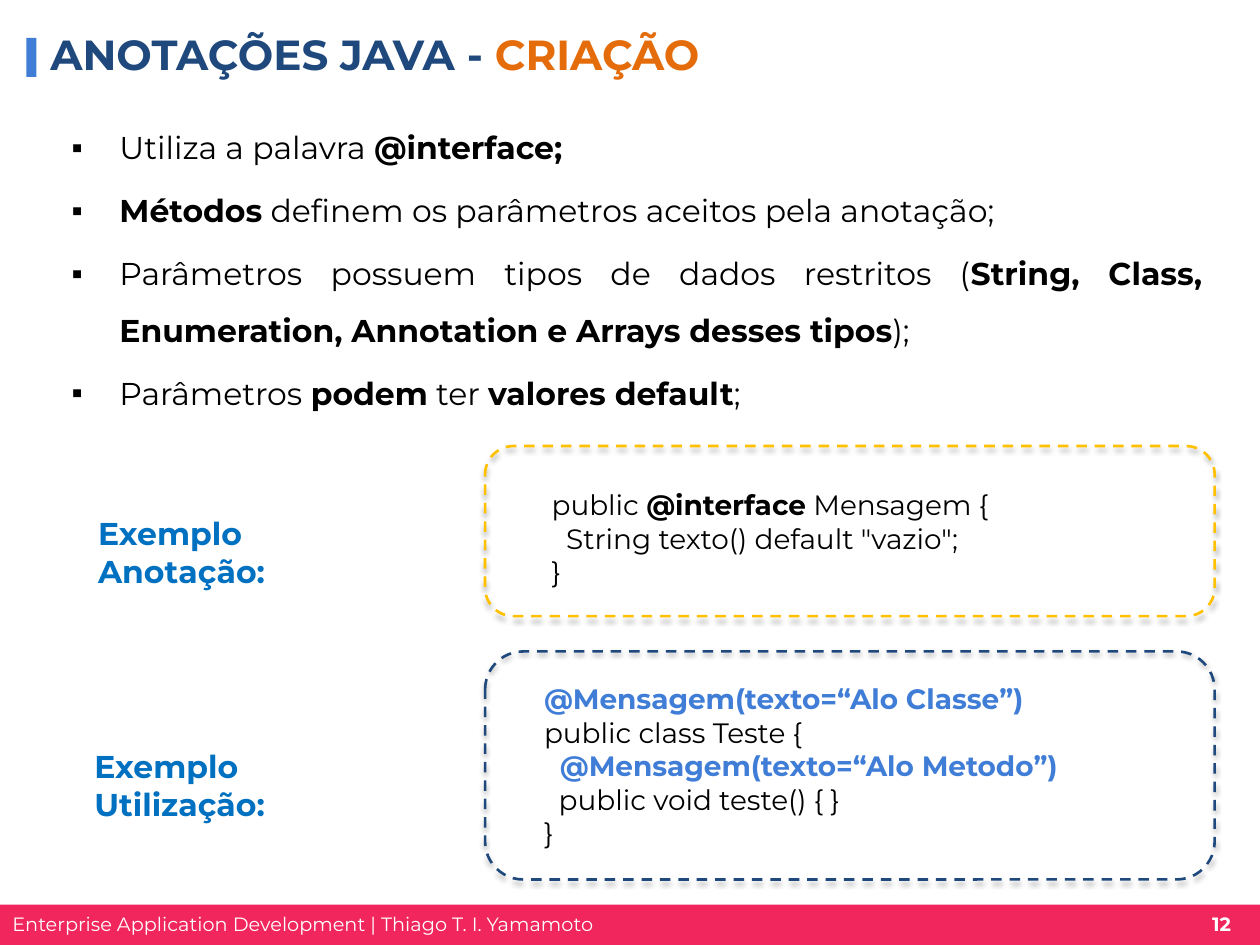
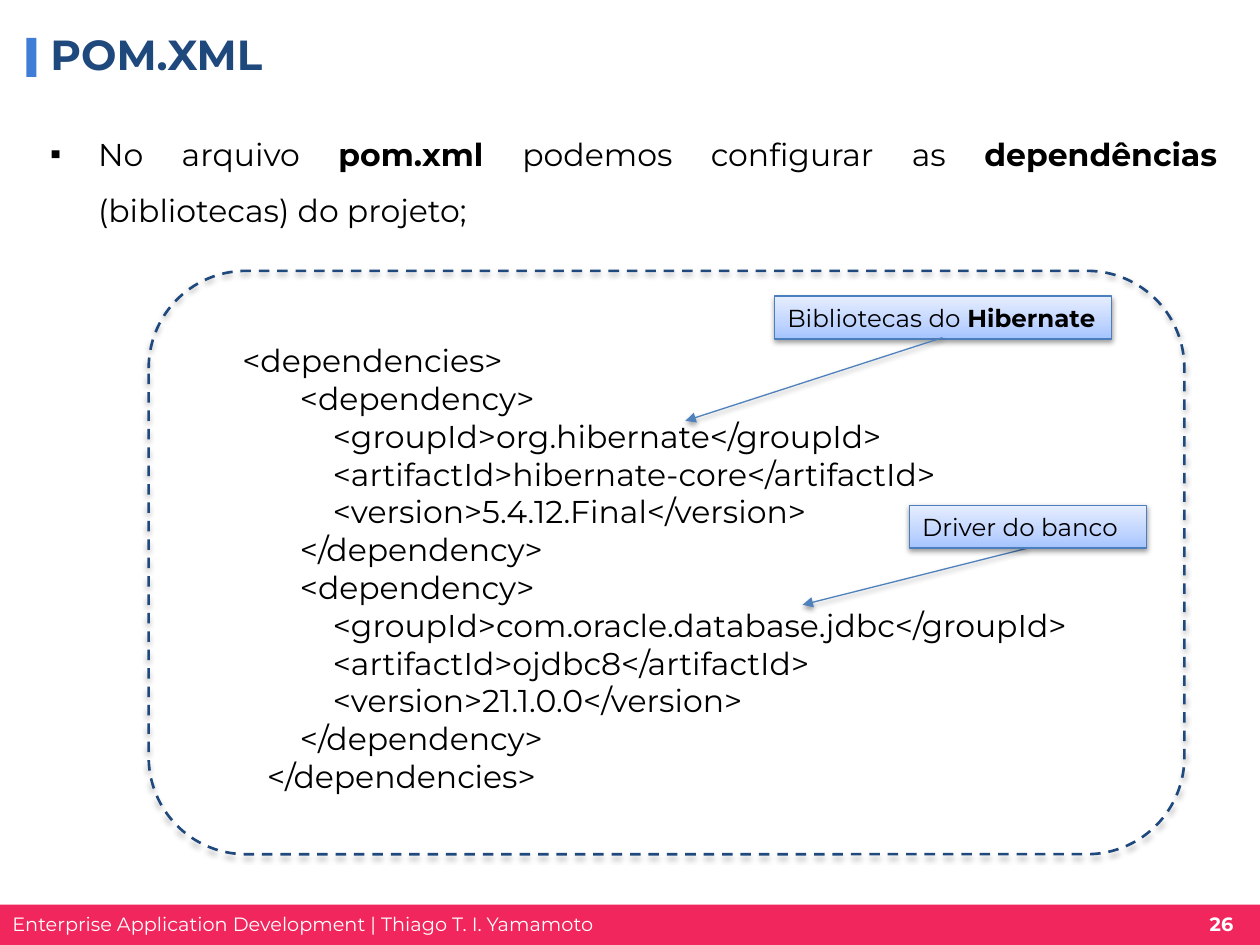
"""Build two Java course slides: annotation creation and pom.xml."""
import copy
import dataclasses

import pptx
import pptx.dml.color
import pptx.enum.dml
import pptx.enum.shapes
import pptx.enum.text
import pptx.oxml
import pptx.oxml.ns
import pptx.util

Inches = pptx.util.Inches
ALIGN = pptx.enum.text.PP_ALIGN
SHAPE = pptx.enum.shapes.MSO_SHAPE
TITLE_ONLY = 5


@dataclasses.dataclass(frozen=True)
class Theme:
    """Colours, font and type sizes of the deck."""

    font: str = "Montserrat"
    navy: str = "1F497D"
    blue: str = "407DD6"
    label_blue: str = "0070C0"
    orange: str = "E46C0A"
    yellow: str = "FFC000"
    pink: str = "F0265D"
    white: str = "FFFFFF"
    black: str = "000000"
    callout_line: str = "4B7EBC"
    arrow: str = "4F81BD"
    callout_fill: tuple = ((0, "A4C4FF"), (0.35, "BFD4FF"), (1, "E6EEFF"))
    title_size: int = 24
    body_size: int = 18
    code_size: int = 16
    callout_size: int = 14
    footer_size: int = 11


THEME = Theme()
BOLD = {"bold": True}
ANNOTATION = {"bold": True, "color": THEME.blue}


def rgb(color):
    """Turn a hex string into a colour."""
    return pptx.dml.color.RGBColor.from_string(color)


def set_format(target, values):
    """Set each attribute of the target from a dict."""
    for attribute, value in values.items():
        setattr(target, attribute, value)


def write(frame, paragraphs, size, color=THEME.black, bold=False,
          bulleted=False, **paragraph_format):
    """Write paragraphs, each a list of plain strings or (text, format) runs."""
    for index, runs in enumerate(paragraphs):
        paragraph = frame.add_paragraph() if index else frame.paragraphs[0]
        if bulleted:
            add_bullet(paragraph)
        set_format(paragraph, {"alignment": ALIGN.LEFT, **paragraph_format})
        if index == 0:
            paragraph.space_before = pptx.util.Pt(0)
        for run in runs:
            text, changes = (run, {}) if isinstance(run, str) else run
            values = {"name": THEME.font, "size": pptx.util.Pt(size),
                      "bold": bold, "color": color, **changes}
            piece = paragraph.add_run()
            piece.text = text
            piece.font.color.rgb = rgb(values.pop("color"))
            set_format(piece.font, values)


def add_bullet(paragraph):
    """Give a paragraph a square bullet with a hanging indent."""
    properties = paragraph._p.get_or_add_pPr()
    properties.set("marL", str(Inches(0.38)))
    properties.set("indent", str(Inches(-0.38)))
    for tag, attribute, value in (("a:buFont", "typeface", "Arial"),
                                  ("a:buChar", "char", "▪")):
        element = pptx.oxml.ns.qn(tag)
        properties.append(properties.makeelement(element, {attribute: value}))


def add_text(slide, box, paragraphs, size, wrap=True, right_inset=0.1,
             **text_format):
    """Add a text box."""
    frame = slide.shapes.add_textbox(*map(Inches, box)).text_frame
    set_format(frame, {"word_wrap": wrap, "margin_right": Inches(right_inset)})
    write(frame, paragraphs, size, **text_format)


def add_block(slide, box, color):
    """Add a plain coloured rectangle."""
    block = slide.shapes.add_shape(SHAPE.RECTANGLE, *map(Inches, box))
    block.shadow.inherit = False
    block.fill.solid()
    block.fill.fore_color.rgb = rgb(color)
    block.line.fill.background()


def set_line(line, color, width):
    """Set the colour and width of a line."""
    line.color.rgb = rgb(color)
    line.width = pptx.util.Pt(width)


def cast_shadow(shape, distance, opacity):
    """Drop a soft black shadow straight below a shape."""
    shape.element.spPr.append(pptx.oxml.parse_xml(
        f'<a:effectLst {pptx.oxml.ns.nsdecls("a")}>'
        f'<a:outerShdw blurRad="{pptx.util.Pt(3.1)}" '
        f'dist="{pptx.util.Pt(distance)}" dir="5400000" rotWithShape="0">'
        f'<a:srgbClr val="{THEME.black}"><a:alpha val="{opacity * 1000}"/>'
        '</a:srgbClr></a:outerShdw></a:effectLst>'))


def add_code_frame(slide, box, color):
    """Add a dashed rounded outline around a code example."""
    outline = slide.shapes.add_shape(SHAPE.ROUNDED_RECTANGLE,
                                     *map(Inches, box))
    outline.fill.background()
    set_line(outline.line, color, 1.5)
    outline.line.dash_style = pptx.enum.dml.MSO_LINE.DASH
    cast_shadow(outline, 1.8, 35)


def add_callout(slide, box, runs):
    """Add a note with a blue gradient."""
    note = slide.shapes.add_shape(SHAPE.RECTANGLE, *map(Inches, box))
    note.fill.gradient()
    note.fill.gradient_angle = 90
    stops = note.element.spPr.find(".//" + pptx.oxml.ns.qn("a:gsLst"))
    stops.append(copy.deepcopy(stops[0]))
    for stop, (position, color) in zip(note.fill.gradient_stops,
                                       THEME.callout_fill):
        stop.position = position
        stop.color.rgb = rgb(color)
    set_line(note.line, THEME.callout_line, 0.75)
    cast_shadow(note, 1.6, 38)
    write(note.text_frame, [runs], THEME.callout_size)


def add_arrow(slide, start, end):
    """Add an arrow from a callout to the code it explains."""
    arrow = slide.shapes.add_connector(
        pptx.enum.shapes.MSO_CONNECTOR.STRAIGHT, *map(Inches, start + end))
    set_line(arrow.line, THEME.arrow, 0.75)
    line = arrow.element.spPr.find(pptx.oxml.ns.qn("a:ln"))
    line.append(line.makeelement(pptx.oxml.ns.qn("a:tailEnd"),
                                 {"type": "triangle"}))
    cast_shadow(arrow, 1.6, 38)


def add_bullets(slide, box, paragraphs):
    """Add the justified bullet list of a slide."""
    add_text(slide, box, paragraphs, THEME.body_size, bulleted=True,
             alignment=ALIGN.JUSTIFY, line_spacing=1.5,
             space_before=pptx.util.Pt(3.6))


def add_label(slide, left, top, text):
    """Add a bold label, broken over two lines, beside an example."""
    add_text(slide, (left, top, 2.75, 0.7), [[text]], THEME.body_size,
             right_inset=1.15, color=THEME.label_blue, bold=True)


def add_slide(deck, title_runs, number):
    """Add a slide with its title, title mark and footer band."""
    slide = deck.slides.add_slide(deck.slide_layouts[TITLE_ONLY])
    add_block(slide, (0, 7.18, 10, 0.32), THEME.pink)
    add_block(slide, (0.21, 0.3, 0.08, 0.31), THEME.blue)
    add_text(slide, (0, 7.19, 4.87, 0.29),
             [["Enterprise Application Development | Thiago T. I. Yamamoto"]],
             THEME.footer_size, wrap=False, color=THEME.white)
    add_text(slide, (9.49, 7.19, 0.41, 0.29), [[number]], THEME.footer_size,
             wrap=False, color=THEME.white, bold=True, alignment=ALIGN.CENTER)
    title = slide.shapes.title
    set_format(title, {"left": Inches(0.3), "top": Inches(0.24),
                       "width": Inches(8), "height": Inches(0.43)})
    set_format(title.text_frame, {
        "vertical_anchor": pptx.enum.text.MSO_ANCHOR.MIDDLE,
        "auto_size": pptx.enum.text.MSO_AUTO_SIZE.NONE})
    write(title.text_frame, [title_runs], THEME.title_size,
          color=THEME.navy, bold=True, line_spacing=0.9)
    return slide


def build_annotations(deck):
    """Build the slide on creating Java annotations."""
    slide = add_slide(
        deck, ["ANOTAÇÕES JAVA - ", ("CRIAÇÃO", {"color": THEME.orange})], "12")
    add_bullets(slide, (0.47, 0.82, 9.17, 2.75), [
        ["Utiliza a palavra ", ("@interface;", BOLD)],
        [("Métodos", BOLD), " definem os parâmetros aceitos pela anotação;"],
        ["Parâmetros possuem tipos de dados restritos (",
         ("String, Class, Enumeration, Annotation e Arrays desses tipos", BOLD),
         ");"],
        ["Parâmetros ", ("podem", BOLD), " ter ", ("valores default", BOLD),
         ";"],
    ])
    add_text(slide, (4.28, 3.82, 5.3, 0.91), [
        ["public ", ("@interface", BOLD), " Mensagem {"],
        ['  String texto() default "vazio";'],
        ["}"],
    ], THEME.code_size)
    add_text(slide, (4.22, 5.36, 5.36, 1.45), [
        [("@Mensagem(texto=“Alo Classe”)", ANNOTATION)],
        ["public class Teste {"],
        [("  @Mensagem(texto=“Alo Metodo”)", ANNOTATION)],
        ["  public void teste() { }"],
        ["}"],
    ], THEME.code_size)
    add_label(slide, 0.65, 5.88, "Exemplo Utilização:")
    add_label(slide, 0.68, 4.03, "Exemplo Anotação:")
    add_code_frame(slide, (3.85, 5.17, 5.79, 1.81), THEME.navy)
    add_code_frame(slide, (3.85, 3.54, 5.79, 1.35), THEME.yellow)


def build_pom(deck):
    """Build the slide on the dependencies in pom.xml."""
    slide = add_slide(deck, ["POM.XML"], "26")
    dependencies = """\
 <dependencies>
        <dependency>
            <groupId>org.hibernate</groupId>
            <artifactId>hibernate-core</artifactId>
            <version>5.4.12.Final</version>
        </dependency>
        <dependency>
            <groupId>com.oracle.database.jdbc</groupId>
            <artifactId>ojdbc8</artifactId>
            <version>21.1.0.0</version>
        </dependency>
    </dependencies>"""
    add_text(slide, (1.76, 2.66, 7.06, 3.74),
             [[line] for line in dependencies.splitlines()], THEME.body_size)
    add_bullets(slide, (0.3, 0.87, 9.46, 1.21), [
        ["No arquivo ", ("pom.xml ", BOLD), "podemos configurar as ",
         ("dependências", BOLD), " (bibliotecas) do projeto;"],
    ])
    add_code_frame(slide, (1.18, 2.15, 8.22, 4.63), THEME.navy)
    add_callout(slide, (6.15, 2.35, 2.67, 0.34),
                ["Bibliotecas do ", ("Hibernate", BOLD)])
    add_arrow(slide, (7.48, 2.68), (5.44, 3.34))
    add_arrow(slide, (8.16, 4.35), (6.37, 4.8))
    add_callout(slide, (7.22, 4.01, 1.88, 0.34), ["Driver do banco"])


def main():
    """Build and save the deck."""
    deck = pptx.Presentation()
    set_format(deck, {"slide_width": Inches(10), "slide_height": Inches(7.5)})
    build_annotations(deck)
    build_pom(deck)
    deck.save("out.pptx")


if __name__ == "__main__":
    main()
